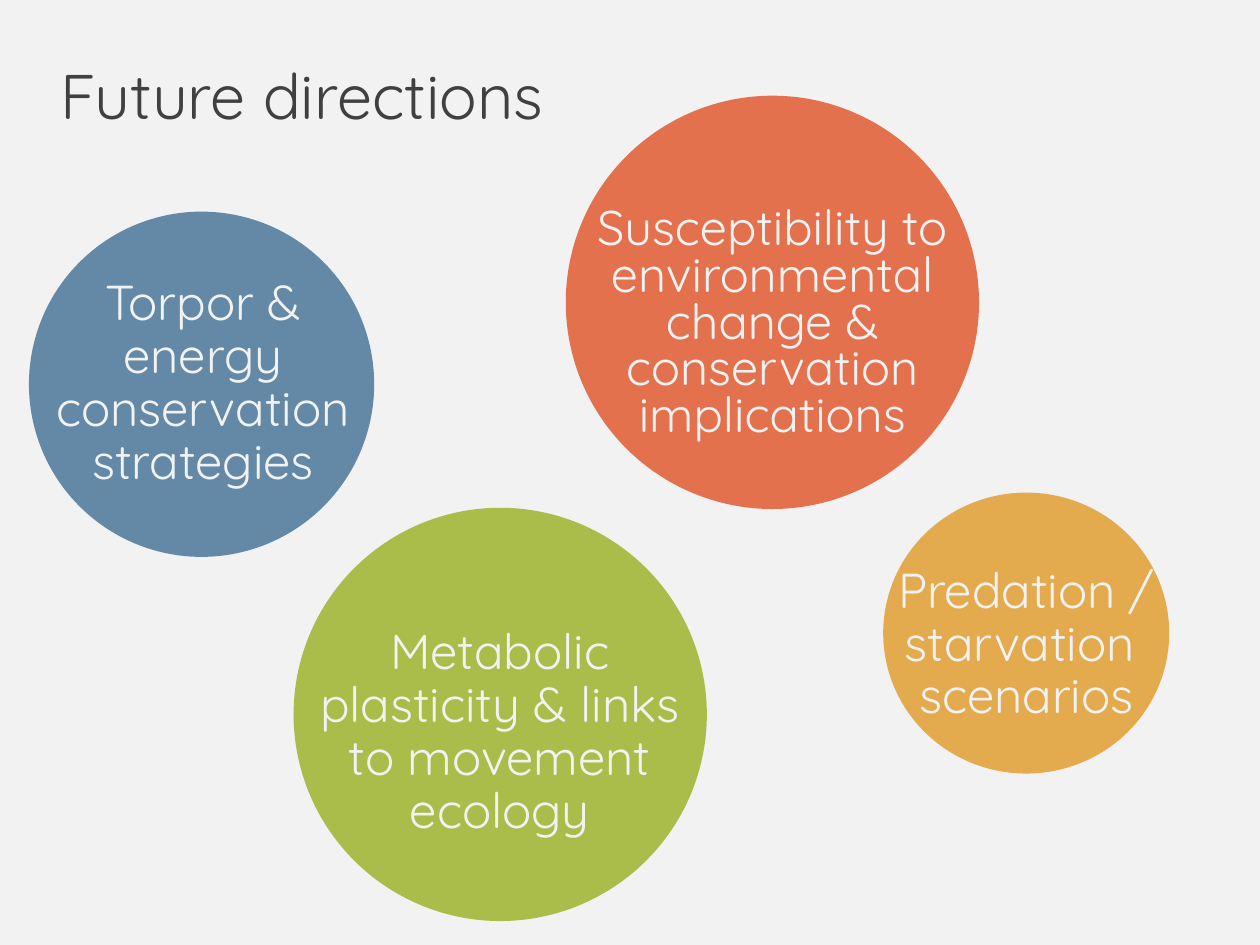
import pptx
import pptx.dml.color
import pptx.enum.shapes
import pptx.enum.text
import pptx.util

RGB = pptx.dml.color.RGBColor
ALIGN = pptx.enum.text.PP_ALIGN
ANCHOR = pptx.enum.text.MSO_ANCHOR

PALE = RGB(0xF2, 0xF2, 0xF2)
DARK = RGB(0x40, 0x40, 0x40)
BLUE = RGB(0x63, 0x89, 0xA7)
GREEN = RGB(0xAA, 0xBC, 0x4A)
RED = RGB(0xE4, 0x71, 0x4E)
GOLD = RGB(0xE4, 0xAA, 0x4E)

FONT = "Quicksand"
COLS, ROWS = 100, 75
CELL = pptx.util.Inches(10) // COLS

# circle box, fill, label box from the circle's corner, lines, size, line spacing
TOPICS = [
    ((2.3, 16.8, 27.4, 27.4), BLUE, (-0.8, 4.3, 29.2, 18.8),
     ["Torpor & energy conservation strategies"], 28, 0.9),
    ((23.3, 40.3, 32.8, 32.8), GREEN, (0.1, 6.2, 32.5, 23.4),
     ["Metabolic plasticity & links to movement ecology"], 28, 0.9),
    ((44.9, 7.6, 32.8, 32.8), RED, (1.1, 8, 30.6, 20.4),
     ["Susceptibility to environmental change & conservation implications"],
     27.8, 0.8),
    ((70.1, 39.1, 22.7, 22.3), GOLD, (-1.4, 2.7, 25.5, 18.8),
     ["Predation / starvation ", "scenarios"], 28, 0.9),
]


def grid(box):
    """Turn columns and rows into slide lengths."""
    return [round(n * CELL) for n in box]


def write(slide, box, lines, size, color, space, align, anchor):
    frame = slide.shapes.add_textbox(*grid(box)).text_frame
    frame.word_wrap = True
    frame.vertical_anchor = anchor
    for i, line in enumerate(lines):
        para = frame.add_paragraph() if i else frame.paragraphs[0]
        para.alignment = align
        para.line_spacing = space
        run = para.add_run()
        run.text = line
        run.font.name = FONT
        run.font.size = pptx.util.Pt(size)
        run.font.color.rgb = color


def title(slide, box):
    write(slide, box, ["Future directions"], 36, DARK, 0.9,
          ALIGN.LEFT, ANCHOR.TOP)


def topic(slide, box, fill, label, lines, size, space):
    """Draw a filled circle with its label."""
    disc = slide.shapes.add_shape(
        pptx.enum.shapes.MSO_SHAPE.OVAL, *grid(box))
    disc.shadow.inherit = False
    disc.fill.solid()
    disc.fill.fore_color.rgb = fill
    disc.line.fill.background()
    left, top = box[:2]
    dx, dy, width, height = label
    write(slide, (left + dx, top + dy, width, height), lines, size, PALE,
          space, ALIGN.CENTER, ANCHOR.MIDDLE)


def main():
    deck = pptx.Presentation()
    deck.slide_width, deck.slide_height = COLS * CELL, ROWS * CELL
    slide = deck.slides.add_slide(deck.slide_layouts[6])
    back = slide.background.fill
    back.solid()
    back.fore_color.rgb = PALE
    title(slide, (3.8, 4.7, 71.5, 12))
    for item in TOPICS:
        topic(slide, *item)
    deck.save("out.pptx")


if __name__ == "__main__":
    main()
